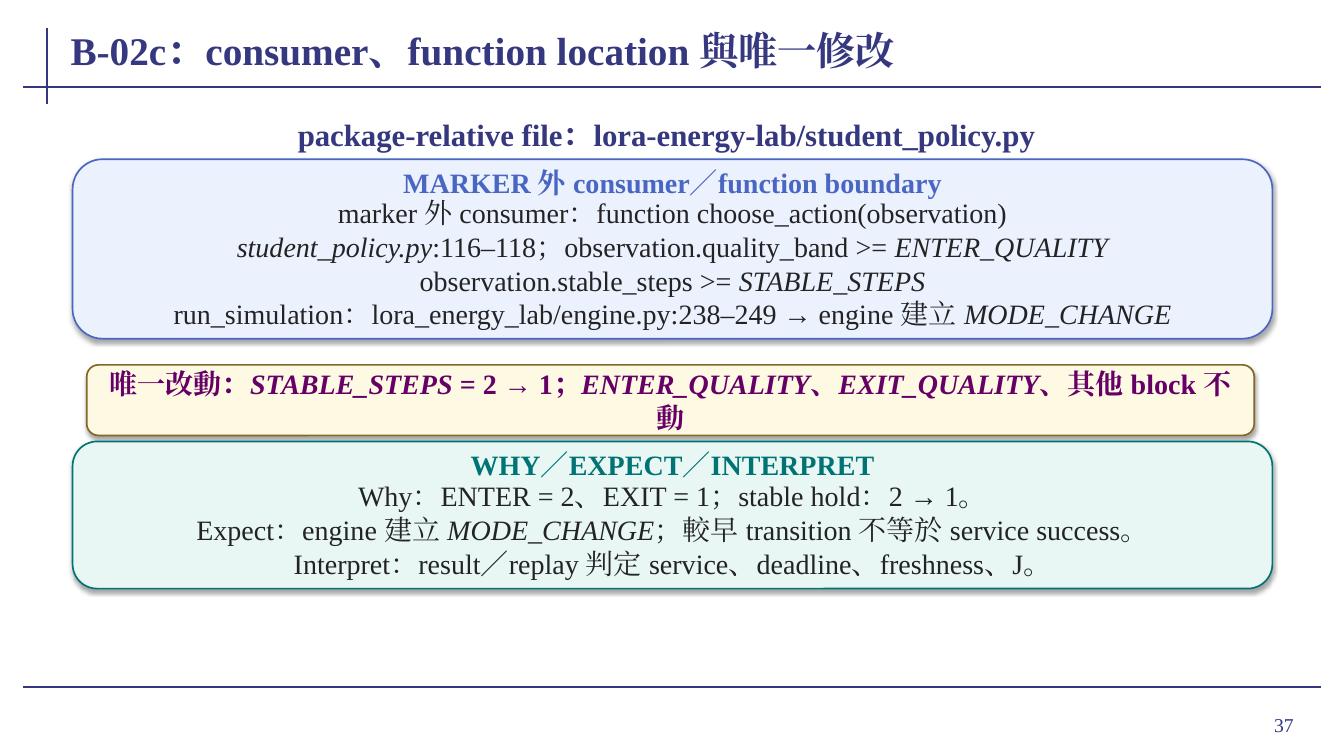
from dataclasses import dataclass

from lxml import etree
from pptx import Presentation
from pptx.dml.color import RGBColor
from pptx.enum import shapes, text
from pptx.oxml import ns
from pptx.util import Inches, Pt

FONT = "Times New Roman"
NAVY = RGBColor(0x35, 0x37, 0x7F)
INK = RGBColor(0x23, 0x23, 0x23)
BLUE = RGBColor(0x49, 0x67, 0xC2)
ICE = RGBColor(0xEC, 0xF1, 0xFE)
BROWN = RGBColor(0x84, 0x68, 0x26)
CREAM = RGBColor(0xFD, 0xF9, 0xE2)
PLUM = RGBColor(0x66, 0x00, 0x66)
TEAL = RGBColor(0x00, 0x73, 0x74)
MINT = RGBColor(0xE8, 0xF7, 0xF4)
LEFT, MID, RIGHT = text.PP_ALIGN.LEFT, text.PP_ALIGN.CENTER, text.PP_ALIGN.RIGHT


@dataclass
class Rule:
    x1: float
    y1: float
    x2: float
    y2: float


@dataclass
class Panel:
    left: float
    top: float
    width: float
    height: float
    fill: RGBColor
    edge: RGBColor


@dataclass
class Label:
    left: float
    top: float
    width: float
    height: float
    lines: list[str]
    color: RGBColor = INK
    size: int = 20
    bold: bool = True
    align: text.PP_ALIGN = MID
    inset: float = 0.01
    grow: bool = True


RULES = [
    Rule(0.47, 0.28, 0.47, 1.03),
    Rule(0.23, 0.86, 13.1, 0.86),
    Rule(0.23, 6.82, 13.1, 6.82),
]

PANELS = [
    Panel(0.72, 1.58, 11.9, 1.78, ICE, BLUE),
    Panel(0.86, 3.62, 11.58, 0.7, CREAM, BROWN),
    Panel(0.72, 4.38, 11.9, 1.46, MINT, TEAL),
]

LABELS = [
    Label(11.96, 6.93, 0.97, 0.52, ["37"], NAVY, 14, False, RIGHT, 0.1, False),
    Label(0.68, 0.18, 11.95, 0.62, ["B-02c：consumer、function location 與唯一修改"],
          NAVY, 28, True, LEFT, 0.02, False),
    Label(0.82, 1.16, 11.58, 0.34,
          ["package-relative file：lora-energy-lab/student_policy.py"], NAVY, 22),
    Label(0.9, 1.68, 11.54, 0.25, ["MARKER 外 consumer／function boundary"], BLUE),
    Label(0.94, 1.96, 11.46, 1.3, [
        "marker 外 consumer：function choose_action(observation)",
        "*student_policy.py*:116–118；observation.quality_band >= *ENTER_QUALITY*",
        "observation.stable_steps >= *STABLE_STEPS*",
        "run_simulation：lora_energy_lab/engine.py:238–249 → engine 建立 *MODE_CHANGE*",
    ], bold=False),
    Label(1.04, 3.69, 11.22, 0.56, [
        "唯一改動：*STABLE_STEPS* = 2 → 1；*ENTER_QUALITY*、*EXIT_QUALITY*、其他 block 不動",
    ], PLUM, inset=0.02),
    Label(0.9, 4.48, 11.54, 0.25, ["WHY／EXPECT／INTERPRET"], TEAL),
    Label(0.94, 4.76, 11.46, 0.98, [
        "Why：ENTER = 2、EXIT = 1；stable hold：2 → 1。",
        "Expect：engine 建立 *MODE_CHANGE*；較早 transition 不等於 service success。",
        "Interpret：result／replay 判定 service、deadline、freshness、J。",
    ], bold=False),
]


def draw_rule(slide, rule: Rule) -> None:
    line = slide.shapes.add_connector(
        shapes.MSO_CONNECTOR.STRAIGHT, Inches(rule.x1), Inches(rule.y1),
        Inches(rule.x2), Inches(rule.y2))
    line.line.color.rgb = NAVY
    line.line.width = Pt(1.5)
    etree.SubElement(line._element.spPr, ns.qn("a:effectLst"))


def draw_panel(slide, panel: Panel) -> None:
    box = slide.shapes.add_shape(
        shapes.MSO_SHAPE.ROUNDED_RECTANGLE, Inches(panel.left), Inches(panel.top),
        Inches(panel.width), Inches(panel.height))
    box.fill.solid()
    box.fill.fore_color.rgb = panel.fill
    box.line.color.rgb = panel.edge
    box.line.width = Pt(1.2)
    box.shadow.inherit = False
    effects = box._element.spPr.find(ns.qn("a:effectLst"))
    shade = etree.SubElement(
        effects, ns.qn("a:outerShdw"), blurRad=str(Pt(3.1)), dist=str(Pt(1.8)),
        dir="5400000", algn="ctr", rotWithShape="0")
    black = etree.SubElement(shade, ns.qn("a:srgbClr"), val="000000")
    etree.SubElement(black, ns.qn("a:alpha"), val="35000")


def draw_label(slide, label: Label) -> None:
    box = slide.shapes.add_textbox(
        Inches(label.left), Inches(label.top), Inches(label.width), Inches(label.height))
    frame = box.text_frame
    frame.word_wrap = True
    frame.vertical_anchor = text.MSO_ANCHOR.MIDDLE
    frame.margin_left = frame.margin_right = Inches(label.inset)
    frame.margin_top = frame.margin_bottom = 0
    if label.grow:
        frame.auto_size = text.MSO_AUTO_SIZE.SHAPE_TO_FIT_TEXT
    frame.text = "\n".join(label.lines)
    for para, line in zip(frame.paragraphs, label.lines):
        para.alignment = label.align
        para.clear()
        for place, part in enumerate(line.split("*")):
            if not part:
                continue
            run = para.add_run()
            run.text = part
            font = run.font
            font.name = FONT
            font.size = Pt(label.size)
            font.bold = label.bold
            font.italic = place % 2 == 1
            font.color.rgb = label.color
            etree.SubElement(font._element, ns.qn("a:ea"), typeface=FONT)


def main() -> None:
    deck = Presentation()
    deck.slide_width, deck.slide_height = Inches(13.33), Inches(7.5)
    slide = deck.slides.add_slide(deck.slide_layouts[6])
    for rule in RULES:
        draw_rule(slide, rule)
    for panel in PANELS:
        draw_panel(slide, panel)
    for label in LABELS:
        draw_label(slide, label)
    deck.save("out.pptx")


if __name__ == "__main__":
    main()
